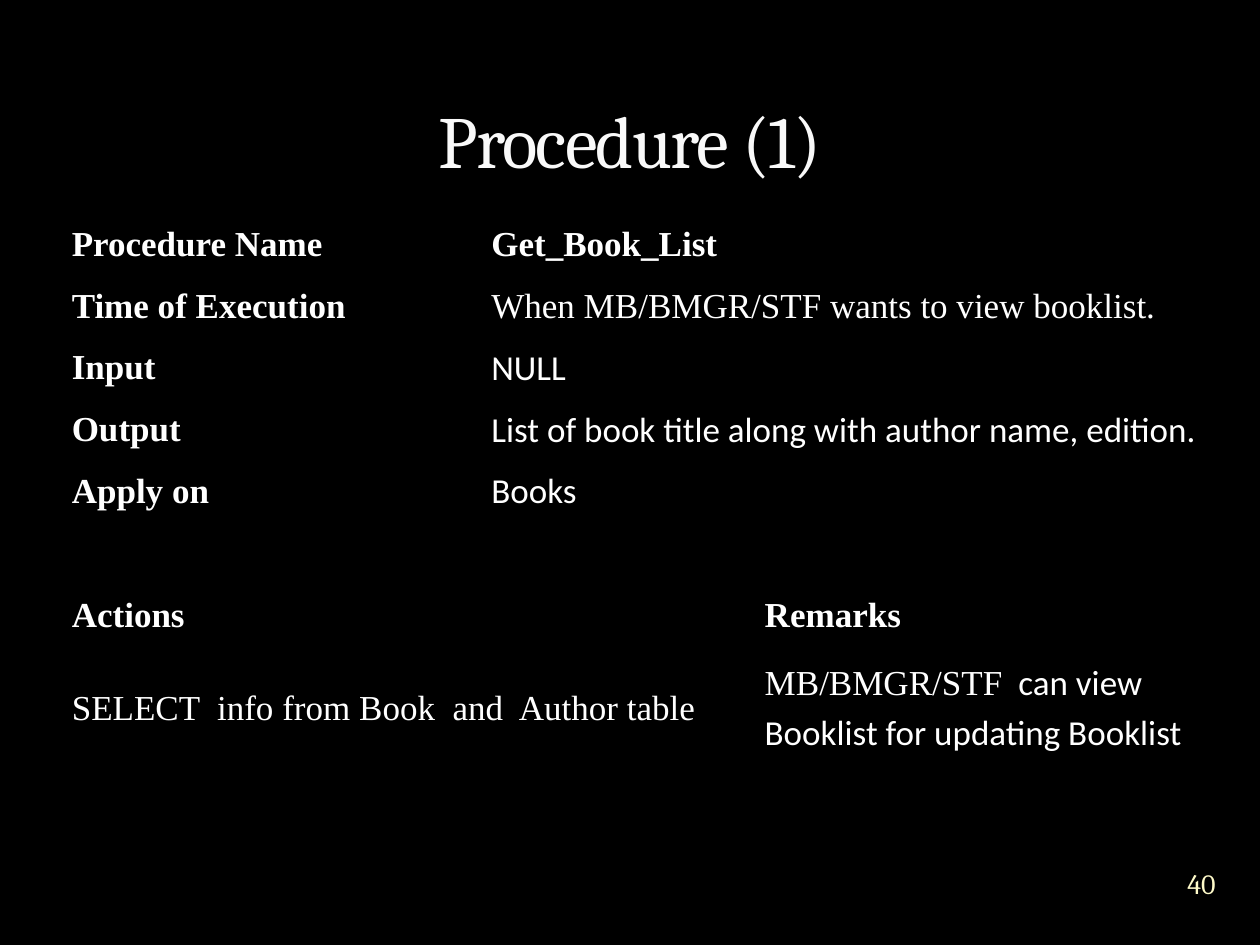
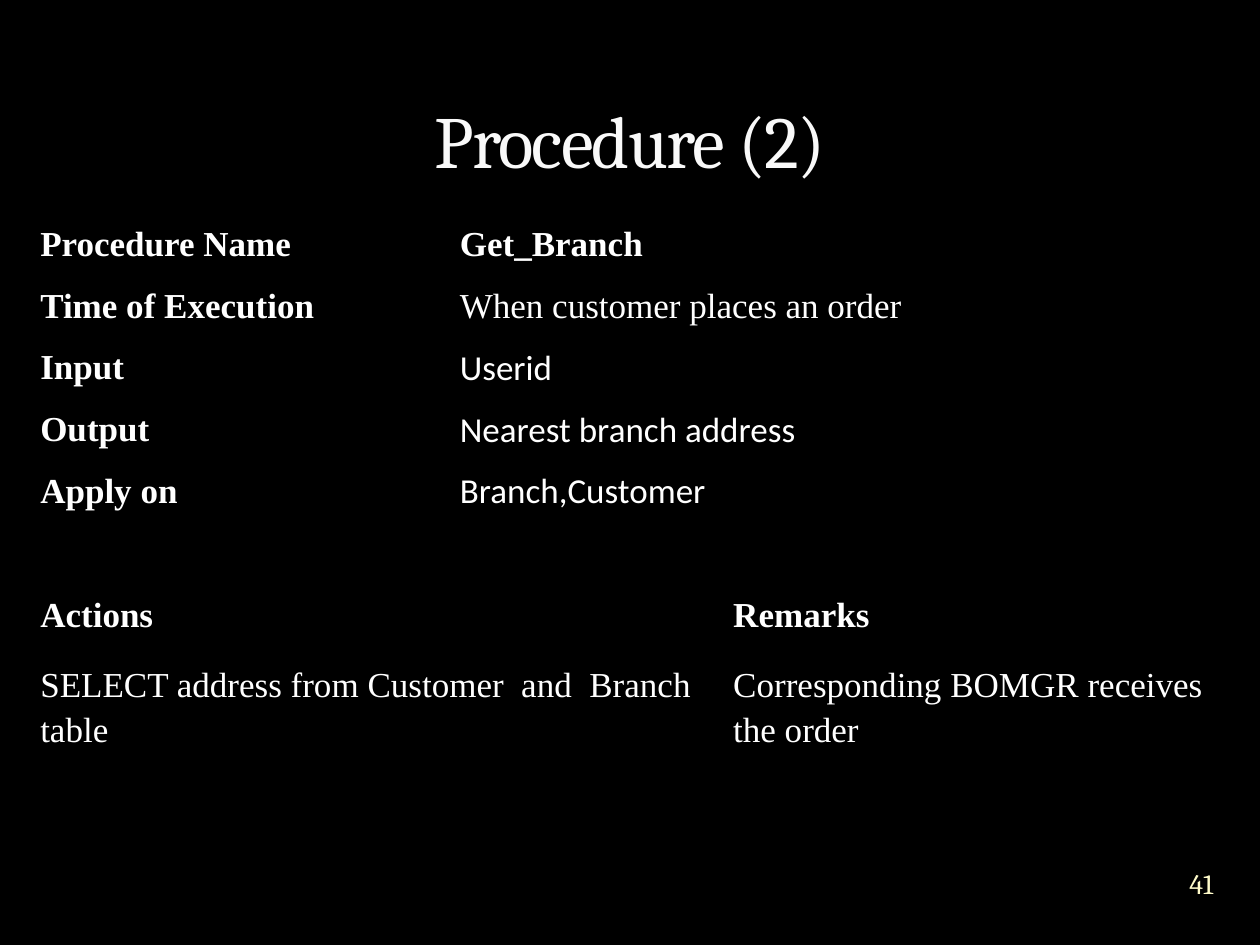
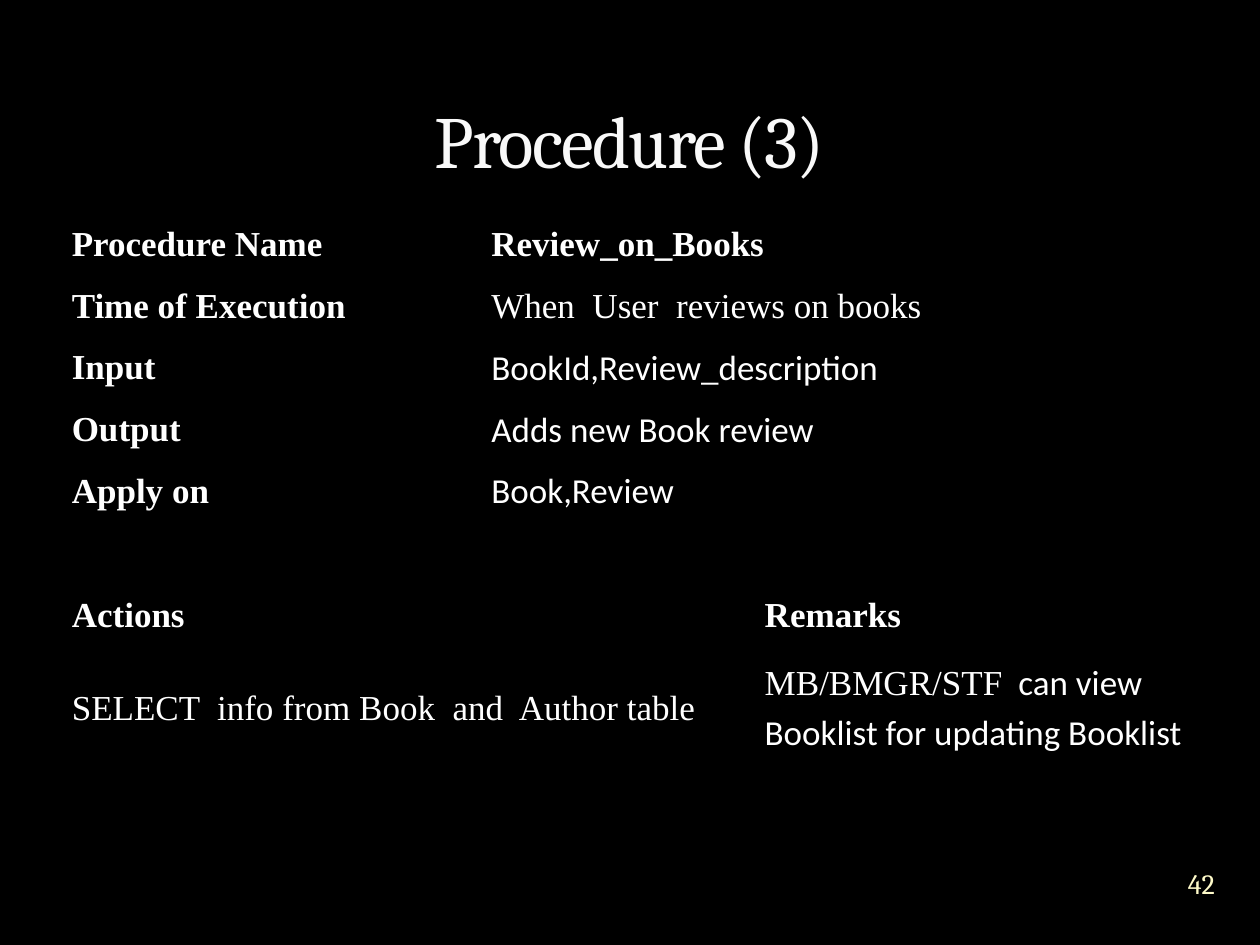
import dataclasses

import lxml.etree
import pptx
import pptx.dml.color
import pptx.enum.text
import pptx.oxml.ns
import pptx.util


@dataclasses.dataclass(frozen=True)
class Theme:
    background: str = "000000"
    body: str = "FFFFFF"
    title: str = "F9F9F9"
    title_outline: str = "3C4422"
    page_number: str = "FEFAC9"
    heading_font: str = "Cambria"
    serif: str = "Times New Roman"
    sans: str = "Calibri"
    title_size: int = 42
    table_size: int = 20
    page_number_size: int = 16
    line_spacing: float = 1.15


@dataclasses.dataclass(frozen=True)
class Box:
    left: float
    top: float
    width: float
    height: float

    def lengths(self):
        return [pptx.util.Inches(length) for length in dataclasses.astuple(self)]


@dataclasses.dataclass(frozen=True)
class Procedure:
    number: int
    page: int
    table_left: float
    values: tuple
    action: str
    remark: tuple


THEME = Theme()
SLIDE_WIDTH, SLIDE_HEIGHT = 10, 7.5
TITLE_BOX = Box(0.05 * SLIDE_WIDTH, 0.17, 0.9 * SLIDE_WIDTH, 1.33)
PAGE_NUMBER_BOX = Box(0.92 * SLIDE_WIDTH, 6.76, 0.67, 0.5)
TABLE_TOP, TABLE_WIDTH, TABLE_HEIGHT = 1.67, 9.42, 4.42
COLUMN_WEIGHTS = (3.33, 2.17, 3.92)
ROW_WEIGHTS = (1, 1, 1, 1, 1, 1, 1, 2)
LABELS = ("Procedure Name", "Time of Execution", "Input", "Output", "Apply on")
BOOKLIST_ACTION = "SELECT  info from Book  and  Author table"
BOOKLIST_REMARK = (
    ("MB/BMGR/STF", THEME.serif),
    ("  can view Booklist for updating Booklist", THEME.sans),
)

PROCEDURES = (
    Procedure(
        1, 40, 0.5,
        ("Get_Book_List", "When MB/BMGR/STF wants to view booklist.", "NULL",
         "List of book title along with author name, edition.", "Books"),
        BOOKLIST_ACTION, BOOKLIST_REMARK,
    ),
    Procedure(
        2, 41, 0.25,
        ("Get_Branch", "When customer places an order", "Userid",
         "Nearest branch address", "Branch,Customer"),
        "SELECT address from Customer  and  Branch table",
        (("Corresponding BOMGR receives the order", THEME.serif),),
    ),
    Procedure(
        3, 42, 0.5,
        ("Review_on_Books", "When  User  reviews on books",
         "BookId,Review_description", "Adds new Book review", "Book,Review"),
        BOOKLIST_ACTION, BOOKLIST_REMARK,
    ),
)


def color(value):
    return pptx.dml.color.RGBColor.from_string(value)


def format_run(run, font, size, value, bold=False):
    run.font.name = font
    run.font.size = pptx.util.Pt(size)
    run.font.color.rgb = color(value)
    run.font.bold = bold


def add_line(parent, tag, position, width, value, alpha=100):
    line = lxml.etree.Element(pptx.oxml.ns.qn(tag), w=str(pptx.util.Pt(width)))
    fill = lxml.etree.SubElement(line, pptx.oxml.ns.qn("a:solidFill"))
    tint = lxml.etree.SubElement(fill, pptx.oxml.ns.qn("a:srgbClr"), val=value)
    if alpha < 100:
        lxml.etree.SubElement(tint, pptx.oxml.ns.qn("a:alpha"), val=str(alpha * 1000))
    parent.insert(position, line)


def add_centered_text(slide, box, text, size, value, anchor):
    text_frame = slide.shapes.add_textbox(*box.lengths()).text_frame
    text_frame.word_wrap = True
    text_frame.vertical_anchor = anchor
    text_frame.text = text
    paragraph = text_frame.paragraphs[0]
    paragraph.alignment = pptx.enum.text.PP_ALIGN.CENTER
    format_run(paragraph.runs[0], THEME.heading_font, size, value)
    return text_frame


def add_title(slide, box, text):
    text_frame = add_centered_text(
        slide, box, text, THEME.title_size, THEME.title,
        pptx.enum.text.MSO_ANCHOR.BOTTOM)
    properties = text_frame.paragraphs[0].runs[0].font._element
    properties.set("spc", "-100")
    add_line(properties, "a:ln", 0, 0.25, THEME.title_outline, 25)


def add_page_number(slide, box, number):
    text_frame = add_centered_text(
        slide, box, str(number), THEME.page_number_size, THEME.page_number,
        pptx.enum.text.MSO_ANCHOR.MIDDLE)
    text_frame.margin_left = text_frame.margin_right = 0
    text_frame.margin_top = text_frame.margin_bottom = 0


def style_cell(cell):
    cell.fill.solid()
    cell.fill.fore_color.rgb = color(THEME.background)
    cell.vertical_anchor = pptx.enum.text.MSO_ANCHOR.MIDDLE
    cell.margin_left = cell.margin_right = pptx.util.Inches(0.07)
    cell.margin_top = cell.margin_bottom = 0
    properties = cell._tc.get_or_add_tcPr()
    for position, edge in enumerate(("a:lnL", "a:lnR", "a:lnT", "a:lnB")):
        add_line(properties, edge, position, 1, THEME.background)


def write_cell(cell, parts, bold=False):
    paragraph = cell.text_frame.paragraphs[0]
    paragraph.line_spacing = THEME.line_spacing
    for text, font in parts:
        run = paragraph.add_run()
        run.text = text
        format_run(run, font, THEME.table_size, THEME.body, bold)


def set_grid(table, box):
    for column, weight in zip(table.columns, COLUMN_WEIGHTS):
        column.width = pptx.util.Inches(box.width * weight / sum(COLUMN_WEIGHTS))
    for row, weight in zip(table.rows, ROW_WEIGHTS):
        row.height = pptx.util.Inches(box.height * weight / sum(ROW_WEIGHTS))


def add_procedure_table(slide, box, procedure):
    table = slide.shapes.add_table(
        len(ROW_WEIGHTS), len(COLUMN_WEIGHTS), *box.lengths()).table
    table.first_row = table.horz_banding = False
    set_grid(table, box)
    for cell in table.iter_cells():
        style_cell(cell)

    for row, (label, value) in enumerate(zip(LABELS, procedure.values)):
        table.cell(row, 1).merge(table.cell(row, 2))
        write_cell(table.cell(row, 0), [(label, THEME.serif)], bold=True)
        font = THEME.serif if row < 2 else THEME.sans
        write_cell(table.cell(row, 1), [(value, font)], bold=row == 0)

    spacer = len(LABELS)
    heading, detail = spacer + 1, spacer + 2
    table.cell(spacer, 0).merge(table.cell(spacer, 2))
    for row in (heading, detail):
        table.cell(row, 0).merge(table.cell(row, 1))
    write_cell(table.cell(heading, 0), [("Actions", THEME.serif)], bold=True)
    write_cell(table.cell(heading, 2), [("Remarks", THEME.serif)], bold=True)
    write_cell(table.cell(detail, 0), [(procedure.action, THEME.serif)])
    write_cell(table.cell(detail, 2), procedure.remark)


def add_procedure_slide(presentation, procedure):
    slide = presentation.slides.add_slide(presentation.slide_layouts[6])
    table_box = Box(procedure.table_left, TABLE_TOP, TABLE_WIDTH, TABLE_HEIGHT)
    add_procedure_table(slide, table_box, procedure)
    add_page_number(slide, PAGE_NUMBER_BOX, procedure.page)
    add_title(slide, TITLE_BOX, f"Procedure ({procedure.number})")


def main():
    presentation = pptx.Presentation()
    presentation.slide_width = pptx.util.Inches(SLIDE_WIDTH)
    presentation.slide_height = pptx.util.Inches(SLIDE_HEIGHT)
    background = presentation.slide_master.background.fill
    background.solid()
    background.fore_color.rgb = color(THEME.background)
    for procedure in PROCEDURES:
        add_procedure_slide(presentation, procedure)
    presentation.save("out.pptx")


if __name__ == "__main__":
    main()
